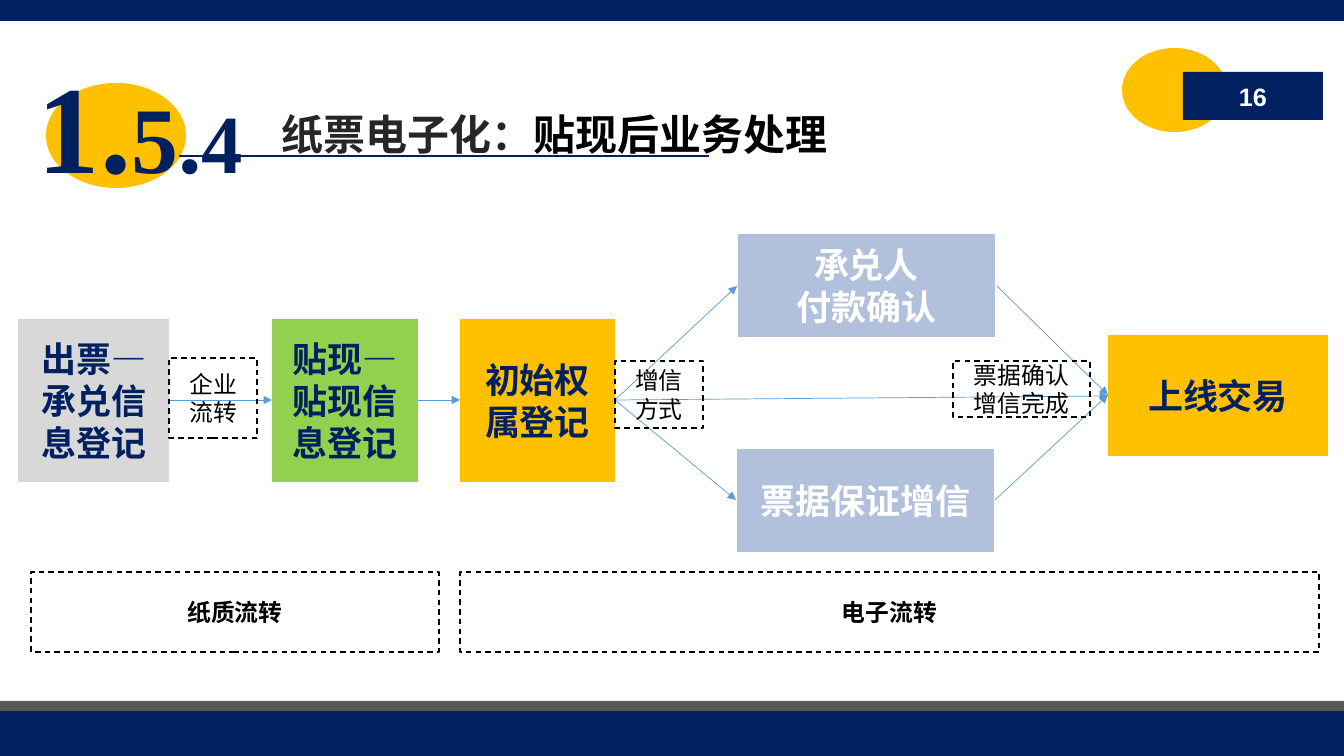
from lxml.etree import SubElement
from pptx import Presentation
from pptx.dml.color import RGBColor
from pptx.enum.dml import MSO_LINE
from pptx.enum.shapes import MSO_CONNECTOR, MSO_SHAPE
from pptx.enum.text import MSO_ANCHOR, PP_ALIGN
from pptx.oxml.ns import qn
from pptx.util import Pt

PX = 914400 / 100.8
CJK = "Noto Sans CJK SC"
NAVY = RGBColor(0x00, 0x20, 0x60)
GOLD = RGBColor(0xFF, 0xC0, 0x00)
GREEN = RGBColor(0x92, 0xD0, 0x50)
LIGHT_GREY = RGBColor(0xD8, 0xD8, 0xD8)
DARK_GREY = RGBColor(0x59, 0x59, 0x59)
CHARCOAL = RGBColor(0x26, 0x26, 0x26)
PALE_BLUE = RGBColor(0xB2, 0xC1, 0xDB)
ARROW_BLUE = RGBColor(0x5B, 0x9B, 0xD5)
WHITE = RGBColor(0xFF, 0xFF, 0xFF)
BLACK = RGBColor(0x00, 0x00, 0x00)

deck = Presentation()
deck.slide_width, deck.slide_height = round(1344 * PX), round(756 * PX)
page = deck.slides.add_slide(deck.slide_layouts[5])


def add_box(bounds, fill=None, kind=MSO_SHAPE.RECTANGLE, text="",
            size=25, color=NAVY, bold=True, font=CJK):
    """Add a borderless shape with centred text; each line is a paragraph."""
    box = page.shapes.add_shape(kind, *(round(n * PX) for n in bounds))
    box.shadow.inherit = False
    box.line.fill.background()
    if fill is None:
        box.fill.background()
    else:
        box.fill.solid()
        box.fill.fore_color.rgb = fill
    if text:
        frame = box.text_frame
        frame.text = text
        frame.word_wrap = True
        frame.vertical_anchor = MSO_ANCHOR.MIDDLE
        frame.margin_left = frame.margin_right = round(12 * PX)
        frame.margin_top = frame.margin_bottom = round(6 * PX)
        for para in frame.paragraphs:
            para.alignment = PP_ALIGN.CENTER
            para.font.size, para.font.bold = Pt(size), bold
            para.font.name, para.font.color.rgb = font, color
            for properties in para._p.iter(qn("a:defRPr")):
                SubElement(properties, qn("a:ea"), typeface=CJK)
    return box


def add_line(x1, y1, x2, y2, color=ARROW_BLUE, width=0.5, arrow=True):
    line = page.shapes.add_connector(
        MSO_CONNECTOR.STRAIGHT, *(round(n * PX) for n in (x1, y1, x2, y2)))
    line.line.color.rgb, line.line.width = color, Pt(width)
    if arrow:
        SubElement(line.line._get_or_add_ln(), qn("a:tailEnd"), type="triangle")
    SubElement(line._element.spPr, qn("a:effectLst"))


# Page bands
add_box((0, 0, 1344, 21), NAVY)
add_box((0, 704, 1344, 52), NAVY)
add_box((0, 701, 1344, 10), DARK_GREY)

# Process steps
for bounds, fill, text in [
    ((18, 319, 151, 163), LIGHT_GREY, "出票—承兑信息登记"),
    ((272, 319, 146, 163), GREEN, "贴现—贴现信息登记"),
    ((460, 319, 155, 163), GOLD, "初始权属登记"),
    ((1108, 335, 220, 121), GOLD, "上线交易"),
]:
    add_box(bounds, fill, text=text, font="Arial")

for bounds, text in [
    ((737, 233, 259, 105), "承兑人\n付款确认"),
    ((736, 448, 259, 105), "票据保证增信"),
]:
    option = add_box(bounds, PALE_BLUE, text=text, color=WHITE)
    option.line.color.rgb, option.line.width = WHITE, Pt(1.5)

# Arrows between steps
for ends in [
    (169, 400, 272, 400),
    (418, 400, 460, 400),
    (615, 400, 737, 286),
    (615, 400, 736, 500),
    (615, 400, 1108, 396),
    (997, 286, 1108, 395),
    (995, 500, 1108, 395),
]:
    add_line(*ends)

# Dashed labels and phases
for bounds, text, bold in [
    ((169, 358, 88, 80), "企业流转", False),
    ((615, 361, 88, 67), "增信方式", False),
    ((953, 361, 137, 56), "票据确认\n增信完成", False),
    ((31, 572, 408, 80), "纸质流转", True),
    ((460, 572, 859, 80), "电子流转", True),
]:
    label = add_box(bounds, text=text, size=17, color=BLACK, bold=bold)
    label.line.color.rgb, label.line.width = BLACK, Pt(1)
    label.line.dash_style = MSO_LINE.DASH

# Heading
add_box((46, 83, 140, 105), GOLD, MSO_SHAPE.OVAL)
title = page.shapes.title
title.left, title.top, title.width, title.height = (
    round(n * PX) for n in (271, 103, 723, 61))
title.text_frame.vertical_anchor = MSO_ANCHOR.MIDDLE
heading = title.text_frame.paragraphs[0]
heading.alignment = PP_ALIGN.LEFT
heading.font.size, heading.font.bold, heading.font.name = Pt(30), True, CJK
for properties in heading._p.iter(qn("a:defRPr")):
    SubElement(properties, qn("a:ea"), typeface=CJK)
for text, color in [("纸票电子化：", CHARCOAL), ("贴现后业务处理", BLACK)]:
    span = heading.add_run()
    span.text, span.font.color.rgb = text, color
add_line(179, 156, 709, 156, NAVY, 1.5, arrow=False)

# Page number
add_box((1122, 48, 105, 84), GOLD, MSO_SHAPE.OVAL)
add_box((1183, 72, 140, 48), NAVY, text="16", size=18, color=WHITE, font="Arial")

# Section number
section = page.shapes.add_textbox(*(round(n * PX) for n in (26, 43, 254, 163)))
section.text_frame.word_wrap = True
section.text_frame.margin_left = section.text_frame.margin_right = round(12 * PX)
section.text_frame.margin_top = section.text_frame.margin_bottom = round(6 * PX)
number = section.text_frame.paragraphs[0]
number.font.name, number.font.bold = "Times New Roman", True
number.font.color.rgb = NAVY
for text, size in [("1.", 89), ("5.", 67), ("4", 59)]:
    span = number.add_run()
    span.text, span.font.size = text, Pt(size)

deck.save("out.pptx")
